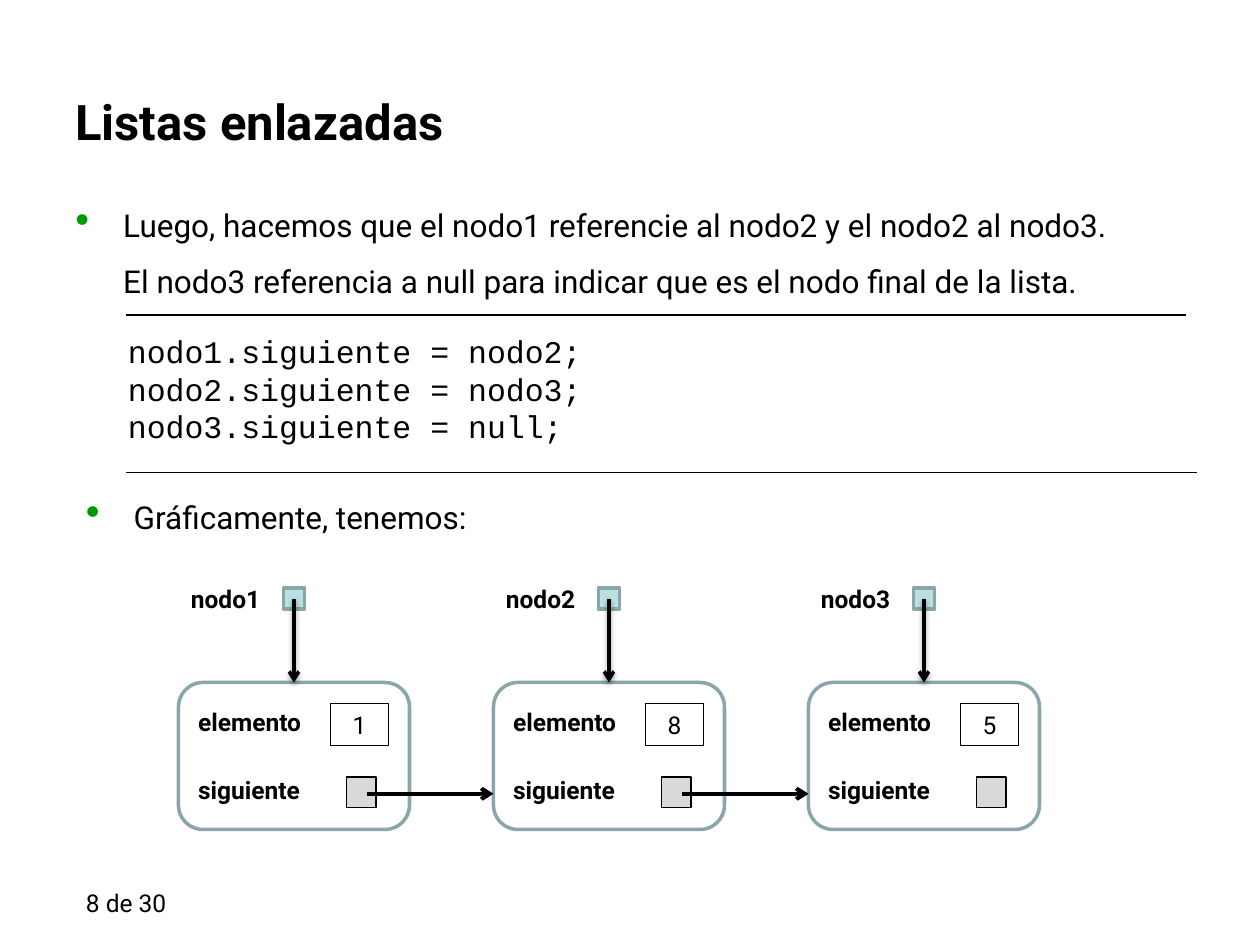
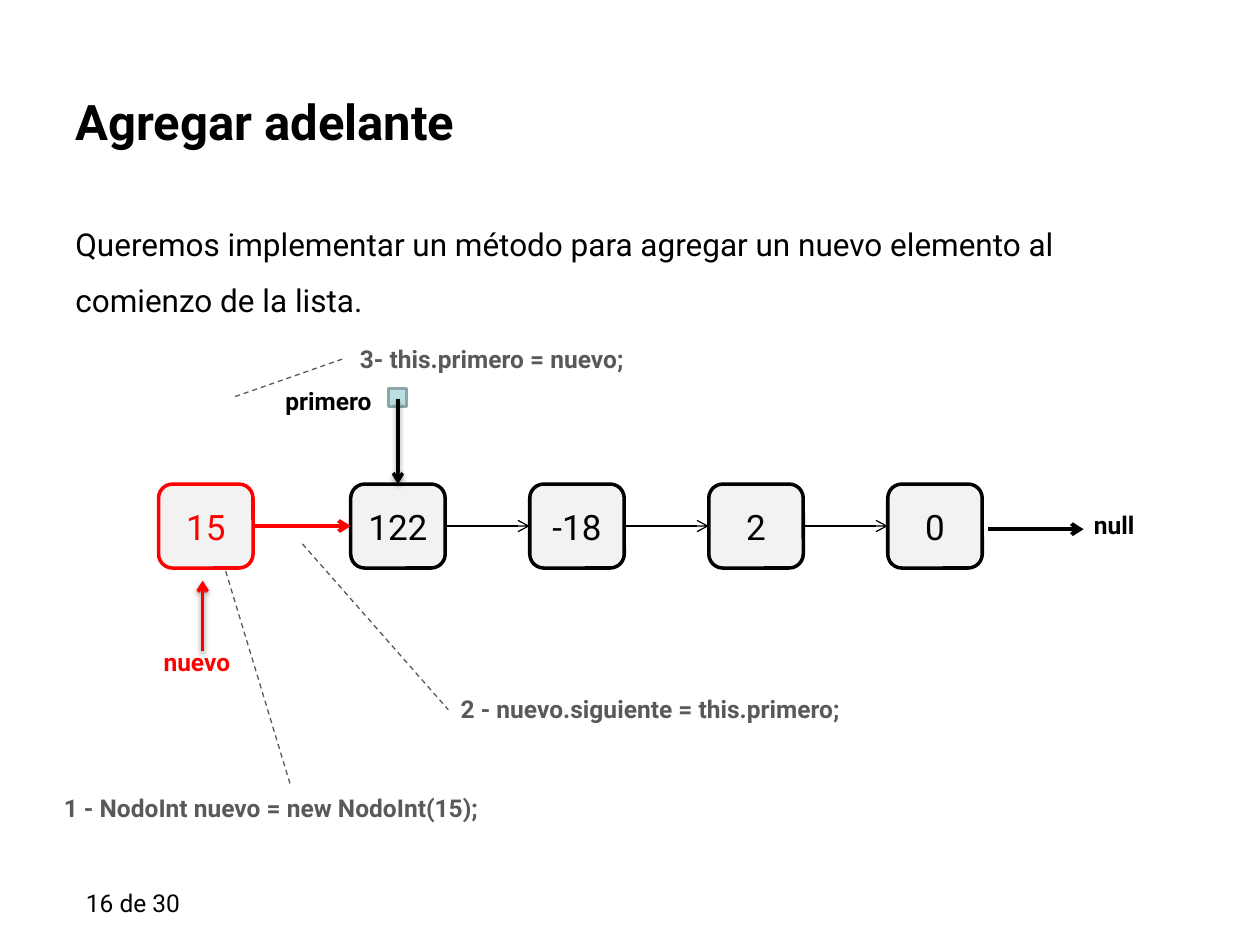
from lxml import etree
from pptx import Presentation, util as u
from pptx.dml.color import RGBColor
from pptx.enum import dml, shapes, text
from pptx.oxml import ns

# Grid: 120 columns by 90 rows on a 10 x 7.5 inch slide
COLUMNS, ROWS = 120, 90
TOP, LEFT, RIGHT = 0, 1, 3

BLACK, WHITE, RED = "000000", "FFFFFF", "FF0000"
GRAY, SILVER, PALE = "595959", "D9D9D9", "F2F2F2"
TEAL, AQUA, GREEN = "8AA6A8", "BBE0E3", "009900"


def color(value):
    return RGBColor.from_string(value)


def child(parent, tag, **attributes):
    return etree.SubElement(parent, ns.qn(tag), attributes)


class SlideBuilder:
    """Holds the shared style and the slide being drawn."""

    font, code_font = "Roboto", "Courier New"
    title_size, body_size, label_size = 28, 18, 14
    total_pages = 30

    def __init__(self, deck):
        self.deck = deck
        self.cell_width = deck.slide_width / COLUMNS
        self.cell_height = deck.slide_height / ROWS
        self.page = None

    def place(self, *values):
        """Turn alternating columns and rows into lengths."""
        units = (self.cell_width, self.cell_height) * 2
        return [u.Emu(round(value * unit)) for value, unit in zip(values, units)]

    def start(self, title, number):
        self.page = self.deck.slides.add_slide(self.deck.slide_layouts[6])
        fill = self.page.background.fill
        fill.solid()
        fill.fore_color.rgb = color(WHITE)
        self.text((7, 84, 16, 4), f"{number} de {self.total_pages}")
        self.text((6, 8, 108, 7), title, self.title_size, bold=True, middle=True)

    def set_text(self, shape, lines, size, bold=False, ink=BLACK, font=None,
                 align=text.PP_ALIGN.LEFT, middle=False, spacing=None, gap=0,
                 bullet=False):
        frame = shape.text_frame
        frame.word_wrap = True
        frame.vertical_anchor = (text.MSO_ANCHOR.MIDDLE if middle
                                 else text.MSO_ANCHOR.TOP)
        for index, line in enumerate(lines):
            para = frame.add_paragraph() if index else frame.paragraphs[0]
            para.text = line
            para.alignment = align
            if index and gap:
                para.space_before = u.Pt(gap)
            if spacing:
                para.line_spacing = spacing
            if bullet:
                self.add_bullet(para)
            para.font.name = font or self.font
            para.font.size = u.Pt(size)
            para.font.bold = bold
            para.font.color.rgb = color(ink)

    def add_bullet(self, para):
        indent = u.Inches(0.38)
        properties = para._p.get_or_add_pPr()
        properties.set("marL", str(int(indent)))
        properties.set("indent", str(-int(indent)))
        child(child(properties, "a:buClr"), "a:srgbClr", val=GREEN)
        child(properties, "a:buSzPct", val="130000")
        child(properties, "a:buChar", char="•")

    def text(self, area, content, size=None, **style):
        box = self.page.shapes.add_textbox(*self.place(*area))
        lines = [content] if isinstance(content, str) else content
        self.set_text(box, lines, size or self.label_size, **style)

    def body(self, area, content, bullet=False):
        self.text(area, content, self.body_size, spacing=1.5, bullet=bullet)

    def label(self, area, content, ink=BLACK):
        self.text(area, content, bold=True, ink=ink)

    def box(self, area, fill, line, width=2, rounded=False):
        kind = (shapes.MSO_SHAPE.ROUNDED_RECTANGLE if rounded
                else shapes.MSO_SHAPE.RECTANGLE)
        shape = self.page.shapes.add_shape(kind, *self.place(*area))
        shape.shadow.inherit = False
        shape.fill.solid()
        shape.fill.fore_color.rgb = color(fill)
        shape.line.color.rgb = color(line)
        shape.line.width = u.Pt(width)
        return shape

    def number_box(self, left, top, value, ink=BLACK):
        shape = self.box((left, top, 9, 8), PALE, ink, rounded=True)
        self.set_text(shape, [value], 20, ink=ink, middle=True,
                      align=text.PP_ALIGN.CENTER)
        return shape

    def line(self, start, end, ink=BLACK, width=1.0, arrow=False, dashed=False,
             shadow=False):
        """Each end is a (column, row) point or a (shape, side) joint."""
        joined = [not isinstance(tip[0], (int, float)) for tip in (start, end)]
        points = [(0, 0) if joint else tip
                  for joint, tip in zip(joined, (start, end))]
        connector = self.page.shapes.add_connector(
            shapes.MSO_CONNECTOR.STRAIGHT, *self.place(*points[0], *points[1]))
        if joined[0]:
            connector.begin_connect(*start)
        if joined[1]:
            connector.end_connect(*end)
        connector.line.color.rgb = color(ink)
        connector.line.width = u.Pt(width)
        if dashed:
            connector.line.dash_style = dml.MSO_LINE.DASH
        if arrow:
            child(connector.line._get_or_add_ln(), "a:tailEnd", type="arrow")
        effects = child(connector._element.spPr, "a:effectLst")
        if shadow:
            outer = child(effects, "a:outerShdw", blurRad="40000", dist="20000",
                          dir="5400000", rotWithShape="0")
            child(child(outer, "a:srgbClr", val=BLACK), "a:alpha", val="38000")

    def arrow(self, start, end, ink=BLACK, width=2.25, shadow=False):
        self.line(start, end, ink, width, arrow=True, shadow=shadow)

    def note(self, area, content, start, end):
        """A gray remark with its dashed leader."""
        self.label(area, content, GRAY)
        self.line(start, end, GRAY, 0.75, dashed=True)


def linked_lists(builder):
    builder.start("Listas enlazadas", 8)
    builder.body((6, 17.2, 108, 7),
                 "Luego, hacemos que el nodo1 referencie al nodo2 y el nodo2 al nodo3.\n"
                 "El nodo3 referencia a null para indicar que es el nodo final de la lista.",
                 bullet=True)

    # Code between two rules
    code = ["nodo1.siguiente = nodo2;",
            "nodo2.siguiente = nodo3;",
            "nodo3.siguiente = null;"]
    builder.text((11, 31, 93, 12), code, builder.body_size,
                 font=builder.code_font, middle=True)
    builder.line((12, 30), (113, 30))
    builder.line((12, 45), (114, 45))
    builder.body((7, 45, 108, 7), "Gráficamente, tenemos:", bullet=True)

    # Nodes with their variables
    first, pitch = 17, 30
    values = ["1", "8", "5"]
    for index, value in enumerate(values):
        left = first + index * pitch
        node = builder.box((left, 65, 22, 14), WHITE, TEAL, rounded=True)
        builder.set_text(node, ["elemento", "siguiente"], builder.label_size,
                         bold=True, middle=True, gap=22)
        element = builder.box((left + 14.5, 67, 5.5, 4), WHITE, BLACK, 0.75)
        builder.set_text(element, [value], builder.label_size, middle=True,
                         align=text.PP_ALIGN.CENTER)
        builder.box((left + 16, 74, 2.8, 2.9), SILVER, BLACK, 0.75)
        builder.label((left, 55, 9.5, 4), f"nodo{index + 1}")
        builder.box((left + 10, 56, 2, 2), AQUA, TEAL)
        builder.arrow((left + 11, 57), (node, TOP), width=2, shadow=True)

    # Links to the next node
    for index in range(len(values) - 1):
        left = first + index * pitch
        builder.arrow((left + 18, 75.6), (left + pitch, 75.6))


def add_in_front(builder):
    builder.start("Agregar adelante", 16)
    builder.body((6, 19, 108, 7),
                 "Queremos implementar un método para agregar un nuevo elemento "
                 "al comienzo de la lista.")

    # Existing list
    top = 46.1
    nodes = [builder.number_box(33.4 + 17.05 * index, top, value)
             for index, value in enumerate(["122", "-18", "2", "0"])]
    for node, following in zip(nodes, nodes[1:]):
        builder.arrow((node, RIGHT), (following, LEFT), width=0.75)
    builder.arrow((94.1, 50.4), (103.2, 50.4))
    builder.label((103, 48, 9.4, 4), "null")

    # Head of the list
    builder.label((26, 36.2, 11.5, 4), "primero")
    builder.box((37, 37, 1.7, 1.7), AQUA, TEAL)
    builder.arrow((37.9, 38), (nodes[0], TOP), width=2, shadow=True)

    # New node
    new_node = builder.number_box(15.1, top, "15", RED)
    builder.label((14.4, 61, 9.4, 4), "nuevo", RED)
    builder.arrow((19.3, 62), (19.3, 55.3), RED, 2, shadow=True)
    builder.arrow((new_node, RIGHT), (nodes[0], LEFT), RED)

    # Steps
    builder.note((42.7, 65.5, 41.8, 4), "2 - nuevo.siguiente = this.primero;",
                 (28.8, 51.8), (42.7, 67.6))
    builder.note((4.9, 74.9, 45.6, 4), "1 - NodoInt nuevo = new NodoInt(15);",
                 (21.5, 54.4), (27.7, 74.9))
    builder.note((33.1, 32.2, 32.9, 4), "3- this.primero = nuevo;",
                 (32.6, 34.2), (22.3, 37.8))


def main():
    deck = Presentation()
    deck.slide_width, deck.slide_height = u.Inches(10), u.Inches(7.5)
    builder = SlideBuilder(deck)
    linked_lists(builder)
    add_in_front(builder)
    deck.save("out.pptx")


if __name__ == "__main__":
    main()
